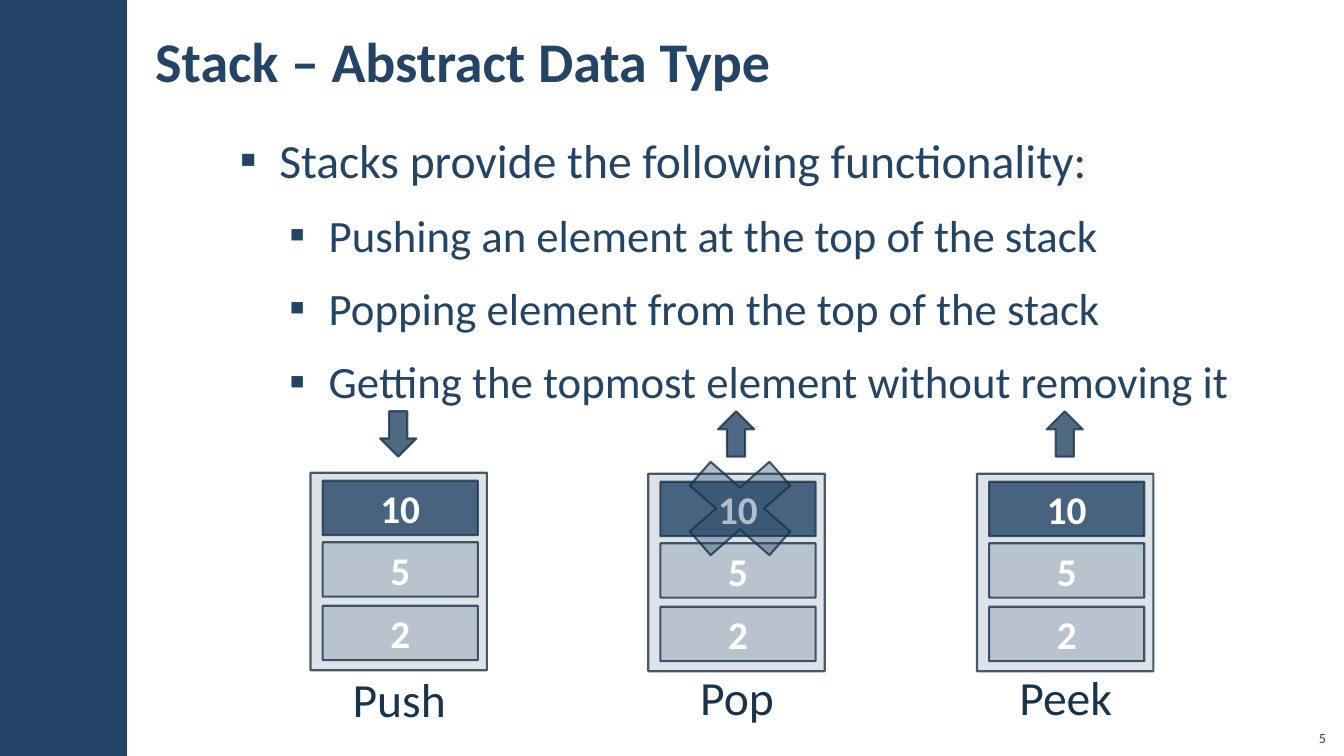
from lxml.etree import SubElement
from pptx import Presentation
from pptx.dml.color import RGBColor
from pptx.enum.shapes import MSO_SHAPE
from pptx.enum.text import MSO_ANCHOR, PP_ALIGN
from pptx.oxml.ns import qn
from pptx.util import Inches, Pt

NAVY, INK, WHITE = "234465", "1A334C", "FFFFFF"


def color(code):
    return RGBColor.from_string(code)


def fade(parent, share):
    """Set the opacity, in percent, of the solid fill inside parent."""
    tone = parent.find(qn("a:solidFill"))[0]
    SubElement(tone, qn("a:alpha")).set("val", str(share * 1000))


class Deck:
    font = "Calibri"

    def __init__(self):
        self.show = Presentation()
        self.show.slide_width = Inches(13.33)
        self.show.slide_height = Inches(7.5)
        self.slide = self.show.slides.add_slide(self.show.slide_layouts[6])
        self.art = self.slide.shapes

    def group(self):
        """Start a group that takes the shapes that follow."""
        self.art = self.slide.shapes.add_group_shape().shapes

    def ungroup(self):
        self.art = self.slide.shapes

    def style(self, para, size, tint, bold=False, align=PP_ALIGN.LEFT):
        para.alignment = align
        for run in para.runs:
            run.font.name = self.font
            run.font.size = Pt(size)
            run.font.bold = bold
            run.font.color.rgb = color(tint)

    def space(self, para):
        para.line_spacing = 1.05
        para.space_before = para.space_after = Pt(6)

    def shape(self, kind, box, share=100, edge=True):
        item = self.art.add_shape(kind, *map(Inches, box))
        item.shadow.inherit = False
        item.fill.solid()
        item.fill.fore_color.rgb = color(NAVY)
        props = item._element.spPr
        fade(props, share)
        if edge:
            item.line.color.rgb = color(INK)
            item.line.width = Pt(1.5)
            fade(props.find(qn("a:ln")), 80)
        else:
            item.line.fill.background()
        return item

    def cell(self, box, text, share):
        frame = self.shape(MSO_SHAPE.RECTANGLE, box, share).text_frame
        frame.text = text
        frame.vertical_anchor = MSO_ANCHOR.MIDDLE
        self.style(frame.paragraphs[0], 28, WHITE, True, PP_ALIGN.CENTER)

    def text(self, box, text, size, tint=NAVY, bold=False,
             align=PP_ALIGN.LEFT, anchor=MSO_ANCHOR.TOP, side=0.12):
        frame = self.art.add_textbox(*map(Inches, box)).text_frame
        frame.word_wrap = True
        frame.vertical_anchor = anchor
        frame.margin_left = frame.margin_right = Inches(side)
        frame.margin_top = frame.margin_bottom = Inches(0.04)
        frame.text = text
        for para in frame.paragraphs:
            self.style(para, size, tint, bold, align)
        return frame

    def list(self, box, head, points):
        frame = self.text(box, "\n".join([head, *points]), 32)
        for rank, para in enumerate(frame.paragraphs):
            self.space(para)
            para.level = min(rank, 1)
            props = para._p.get_or_add_pPr()
            props.set("marL", str(Inches(0.88 if rank else 0.39)))
            props.set("indent", str(Inches(-0.39)))
            SubElement(props, qn("a:buFont")).set("typeface", "Wingdings")
            props[-1].set("typeface", self.font)
            SubElement(props, qn("a:buChar")).set("char", "▪")
        self.style(frame.paragraphs[0], 34, NAVY)

    def stack(self, left, top, name, low, turn, cross=False):
        """Draw a stack with its arrow and its name, low being the name's top."""
        self.group()
        self.shape(MSO_SHAPE.RECTANGLE, (left, top, 1.75, 1.96), 15)
        for value, drop, share in (("2", 1.32, 20), ("10", 0.08, 80), ("5", 0.69, 20)):
            self.cell((left + 0.12, top + drop, 1.54, 0.54), value, share)
        arrow = self.shape(MSO_SHAPE.DOWN_ARROW, (left + 0.69, 4.08, 0.36, 0.45), 80)
        arrow.rotation = turn
        if cross:
            self.shape(MSO_SHAPE.MATH_MULTIPLY, (left + 0.15, 4.38, 1.52, 1.33), 35)
        label = self.text((left + 0.17, low, 1.42, 0.7), name, 34, INK,
                          align=PP_ALIGN.CENTER)
        self.space(label.paragraphs[0])
        self.ungroup()


def main():
    deck = Deck()
    deck.shape(MSO_SHAPE.RECTANGLE, (0, 0, 1.26, 7.5), edge=False)
    deck.list((2.26, 1.23, 10.86, 6.06), "Stacks provide the following functionality:", [
        "Pushing an element at the top of the stack",
        "Popping element from the top of the stack",
        "Getting the topmost element without removing it",
    ])
    deck.text((1.42, 0.11, 9.43, 0.97), "Stack – Abstract Data Type", 40,
              bold=True, anchor=MSO_ANCHOR.MIDDLE)
    deck.stack(3.08, 4.69, "Push", 6.58, 0)
    deck.stack(6.43, 4.7, "Pop", 6.56, 180, cross=True)
    deck.stack(9.69, 4.7, "Peek", 6.56, 180)
    deck.text((12.85, 7.12, 0.4, 0.32), "5", 10, align=PP_ALIGN.RIGHT,
              anchor=MSO_ANCHOR.BOTTOM, side=0.1)
    deck.show.save("out.pptx")


if __name__ == "__main__":
    main()
